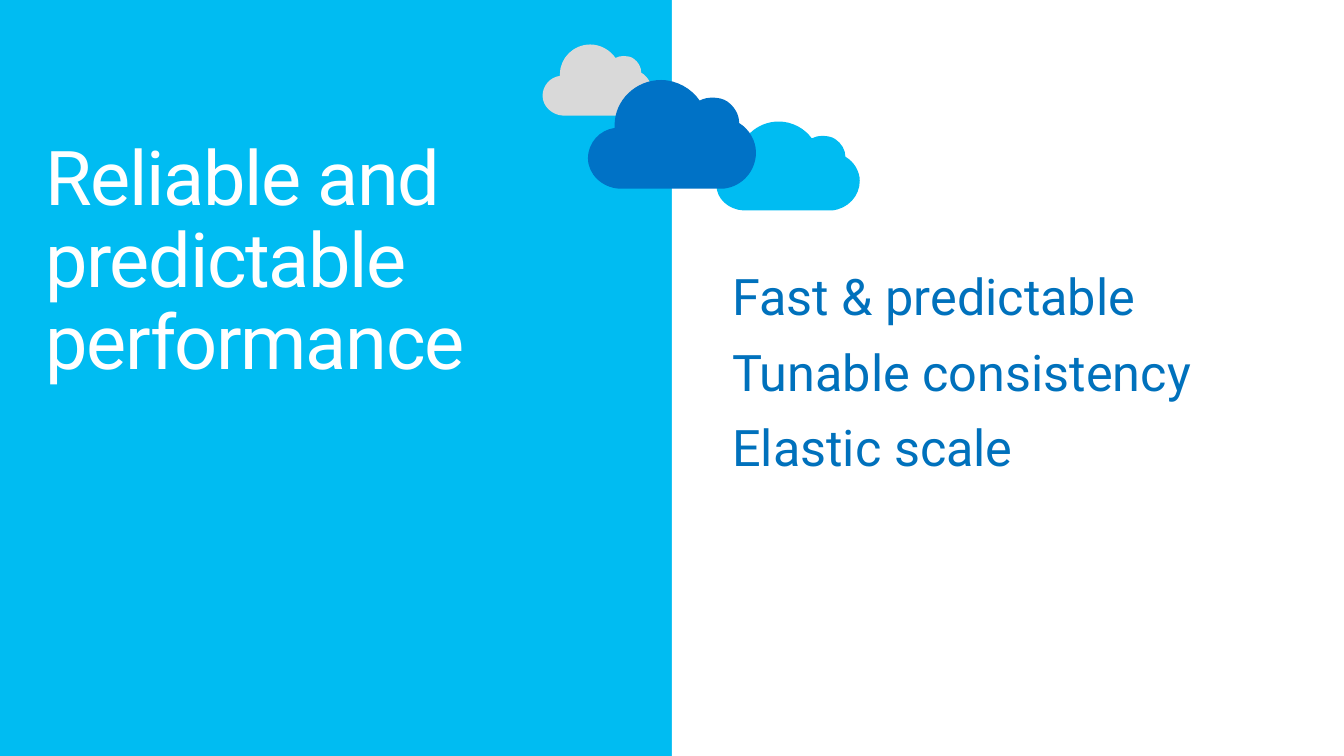
from pptx import Presentation
from pptx.dml.color import RGBColor
from pptx.enum.shapes import MSO_SHAPE as Shape
from pptx.oxml.ns import qn
from pptx.util import Inches, Pt

COLORS = {"sky": "00BCF2", "white": "FFFFFF", "grey": "D9D9D9",
          "blue": "0072C6", "text": "0071BC"}
CLOUD_WIDTH, CLOUD_HEIGHT = 170, 111
CLOUD_START = (27, 49)
CLOUD_CURVES = [
    (27, 48), (27, 47), (27, 46),
    (27, 21), (48, 0), (74, 0),
    (90, 0), (105, 9), (113, 21),
    (117, 19), (121, 18), (126, 18),
    (131, 18), (137, 19), (141, 22),
    (148, 27), (153, 35), (153, 44),
    (163, 50), (170, 62), (170, 74),
    (170, 93), (156, 109), (137, 111),
    (102, 111), (67, 111), (32, 111),
    (14, 110), (0, 96), (0, 80),
    (0, 64), (12, 51), CLOUD_START,
]


def paint(shape, color):
    shape.shadow.inherit = False
    shape.fill.solid()
    shape.fill.fore_color.rgb = RGBColor.from_string(COLORS[color])
    shape.line.fill.background()


def add_text(box, lines, size, color, line_spacing, spacing=None):
    left, top, width, height = map(Inches, box)
    frame = slide.shapes.add_textbox(left, top, width, height).text_frame
    frame.word_wrap = True
    frame.margin_left = frame.margin_right = Inches(0.16)
    frame.margin_top = frame.margin_bottom = Inches(0.1)
    frame.text = lines
    for paragraph in frame.paragraphs:
        paragraph.line_spacing = line_spacing
        for run in paragraph.runs:
            run.font.name = "Roboto"
            run.font.size = Pt(size)
            run.font.color.rgb = RGBColor.from_string(COLORS[color])
            if spacing is not None:
                run.font._element.set("spc", str(spacing))


prs = Presentation()
prs.slide_width, prs.slide_height = Inches(13.6), Inches(7.65)
slide = prs.slides.add_slide(prs.slide_layouts[6])
slide.background.fill.solid()
slide.background.fill.fore_color.rgb = RGBColor.from_string(COLORS["sky"])

add_text((0.3, 1.32, 9, 3.01), "Reliable and \vpredictable \vperformance",
         55.1, "white", 0.9, -100)

right_half = slide.shapes.add_shape(
    Shape.RECTANGLE, Inches(6.8), 0, Inches(6.8), prs.slide_height)
paint(right_half, "white")

for left, top, width, height, color in [(5.49, 0.45, 1.11, 0.72, "grey"),
                                        (7.25, 1.23, 1.45, 0.9, "sky"),
                                        (5.95, 0.81, 1.7, 1.1, "blue")]:
    builder = slide.shapes.build_freeform(
        *CLOUD_START, scale=(Inches(width) / CLOUD_WIDTH,
                             Inches(height) / CLOUD_HEIGHT))
    builder.add_line_segments(CLOUD_CURVES, close=True)
    cloud = builder.convert_to_shape(Inches(left), Inches(top))
    segments = list(cloud._element.iter(qn("a:lnTo")))
    for first, second, third in zip(*[iter(segments)] * 3):
        first.tag = qn("a:cubicBezTo")
        for segment in (second, third):
            first.append(segment[0])
            segment.getparent().remove(segment)
    paint(cloud, color)

add_text((7.25, 2.43, 6.14, 4.47),
         "Fast & predictable\nTunable consistency\nElastic scale",
         36.7, "text", 1.25)

prs.save("out.pptx")
